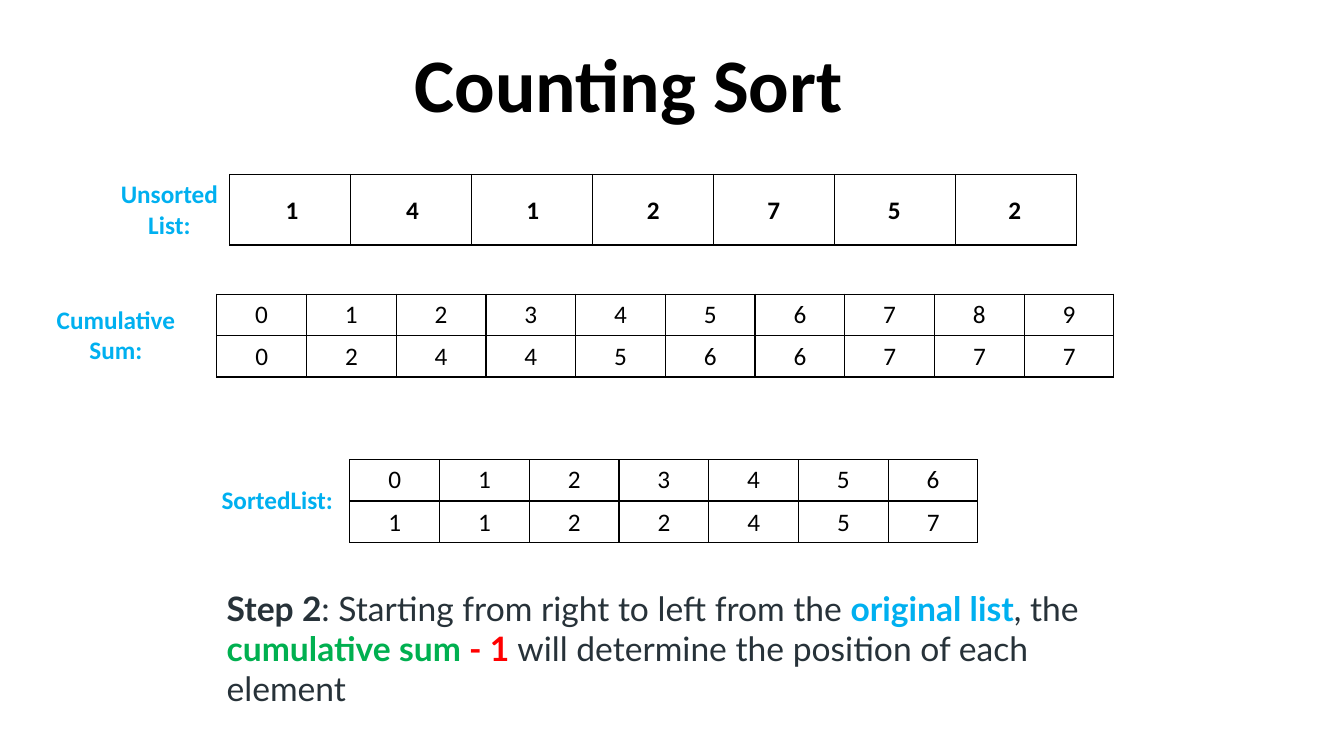
"""Build the Counting Sort slide showing the step that places each element."""
from pptx import Presentation
from pptx.dml.color import RGBColor
from pptx.enum import text
from pptx.oxml import parse_xml
from pptx.oxml.ns import nsdecls
from pptx.util import Inches, Pt

BLACK = RGBColor(0x00, 0x00, 0x00)
BLUE = RGBColor(0x00, 0xB0, 0xF0)
GREEN = RGBColor(0x00, 0xB0, 0x50)
RED = RGBColor(0xFF, 0x00, 0x00)
SLATE = RGBColor(0x27, 0x32, 0x39)

UNSORTED_LABEL = "Unsorted\vList:"
UNSORTED = [1, 4, 1, 2, 7, 5, 2]
INDEXED_LISTS = [
    {"left": 2.15, "top": 2.92, "values": [0, 2, 4, 4, 5, 6, 6, 7, 7, 7]},
    {"left": 3.47, "top": 4.56, "values": [1, 1, 2, 2, 4, 5, 7]},
]
LABELS = [
    ("SortedList:", 2.06, 4.76, 1.38, 0.4),
    ("Cumulative Sum:", 0.2, 2.97, 1.9, 0.71),
]
STEP = [
    ("Step 2", SLATE, True),
    (": Starting from right to left from the ", SLATE, False),
    ("original list", BLUE, True),
    (", the ", SLATE, False),
    ("cumulative sum ", GREEN, True),
    ("- 1 ", RED, True),
    ("will determine the position of each element", SLATE, False),
]
CELL_WIDTH, ROW_HEIGHT = 0.89, 0.41
UNSORTED_WIDTH, UNSORTED_HEIGHT = 1.2, 0.7
UNSORTED_VALUE_LEFT, UNSORTED_VALUE_PITCH = 2.34, 1.195


def style(paragraph, size=18, color=BLACK, bold=False):
    paragraph.alignment = text.PP_ALIGN.CENTER
    font = paragraph.font
    font.name, font.size, font.bold = "Calibri", Pt(size), bold
    font.color.rgb = color


def add_text(content, left, top, width, height, **look):
    box = slide.shapes.add_textbox(*map(Inches, (left, top, width, height)))
    box.text_frame.word_wrap = True
    paragraph = box.text_frame.paragraphs[0]
    paragraph.text = content
    style(paragraph, **look)
    return box.text_frame


def set_borders(cell, visible):
    properties = cell._tc.get_or_add_tcPr()
    for position, side in enumerate("LRTB"):
        paint = '<a:solidFill><a:srgbClr val="000000"/></a:solidFill>' if side in visible else "<a:noFill/>"
        properties.insert(position, parse_xml(
            f'<a:ln{side} {nsdecls("a")} w="12700">{paint}</a:ln{side}>'))


def add_grid(rows, columns, left, top, cell_width, row_height):
    frame = slide.shapes.add_table(rows, columns, *map(
        Inches, (left, top, columns * cell_width, rows * row_height)))
    table = frame.table
    table.first_row = table.horz_banding = False
    for column in table.columns:
        column.width = Inches(cell_width)
    for row in table.rows:
        row.height = Inches(row_height)
    for cell in table.iter_cells():
        cell.fill.background()
        style(cell.text_frame.paragraphs[0])
    return table


presentation = Presentation()
presentation.slide_width, presentation.slide_height = Inches(13.33), Inches(7.5)
slide = presentation.slides.add_slide(presentation.slide_layouts[6])

title = add_text("Counting Sort", 0.8, 0.54, 10.87, 0.79, size=54, bold=True)
title.vertical_anchor = text.MSO_ANCHOR.BOTTOM
title.paragraphs[0].line_spacing = 0.9

for indexed in INDEXED_LISTS:
    left, top, values = indexed["left"], indexed["top"], indexed["values"]
    grid = add_grid(2, len(values), left, top, CELL_WIDTH, ROW_HEIGHT)
    for cell in grid.iter_cells():
        set_borders(cell, "LRTB")
    for index, value in enumerate(values):
        grid.cell(0, index).text_frame.paragraphs[0].text = str(index)
        add_text(str(value), left + index * CELL_WIDTH, top + ROW_HEIGHT, CELL_WIDTH, 0.4)

unsorted_grid = add_grid(1, len(UNSORTED) + 1, 1.08, 1.73, UNSORTED_WIDTH, UNSORTED_HEIGHT)
for index, cell in enumerate(unsorted_grid.iter_cells()):
    set_borders(cell, "LRTB" if index else "R")
label = unsorted_grid.cell(0, 0).text_frame.paragraphs[0]
label.text = UNSORTED_LABEL
style(label, color=BLUE, bold=True)
for index, value in enumerate(UNSORTED):
    add_text(str(value), UNSORTED_VALUE_LEFT + index * UNSORTED_VALUE_PITCH, 1.88, 1.11, 0.4, bold=True)

step = add_text("", 2.15, 5.78, 8.89, 0.91, size=24).paragraphs[0]
step.alignment = text.PP_ALIGN.LEFT
step.font.name = "Lato"
for content, color, bold in STEP:
    run = step.add_run()
    run.text = content
    run.font.color.rgb, run.font.bold = color, bold

for content, *place in LABELS:
    add_text(content, *place, color=BLUE, bold=True)

presentation.save("out.pptx")
